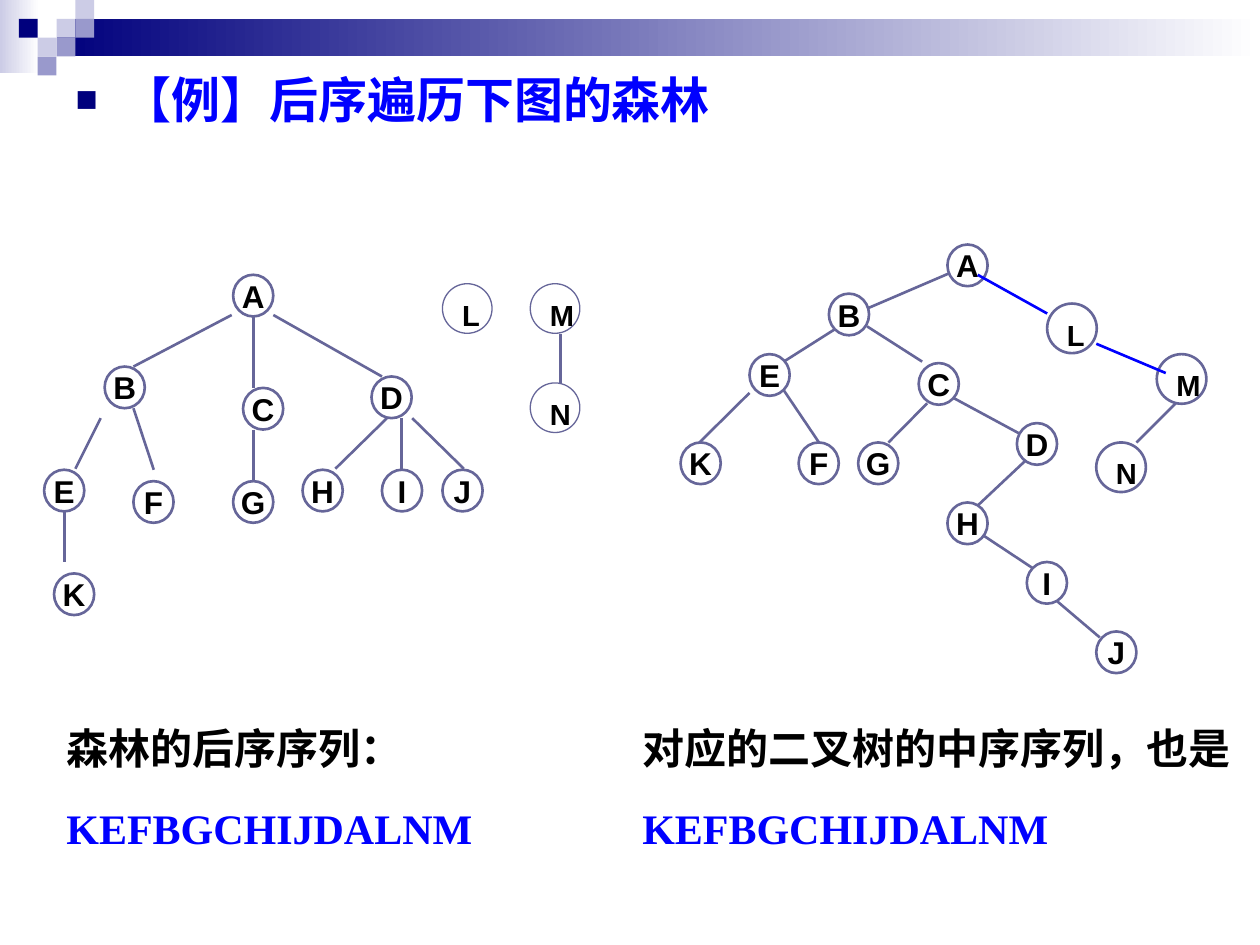
from lxml import etree
from pptx import Presentation
from pptx.dml.color import RGBColor
from pptx.enum.shapes import MSO_CONNECTOR, MSO_SHAPE
from pptx.enum.text import MSO_ANCHOR, MSO_AUTO_SIZE, PP_ALIGN
from pptx.oxml.ns import qn
from pptx.util import Cm, Pt

STRAIGHT = MSO_CONNECTOR.STRAIGHT
OVAL, RECTANGLE = MSO_SHAPE.OVAL, MSO_SHAPE.RECTANGLE
TOP, MIDDLE = MSO_ANCHOR.TOP, MSO_ANCHOR.MIDDLE
LEFT, CENTER, JUSTIFY = PP_ALIGN.LEFT, PP_ALIGN.CENTER, PP_ALIGN.JUSTIFY

COLORS = {"navy": "00007D", "pale": "CCCCE6", "lilac": "9999CC", "white": "FFFFFF",
          "edge": "666699", "blue": "0000FF", "black": "000000"}

# Content: lengths in cm
TITLE = "【例】后序遍历下图的森林"
CAPTIONS = [  # text, left, top, width, font, colour
    ("森林的后序序列：", 1.09, 14.45, 7.8, "Arial", "black"),
    ("对应的二叉树的中序序列，也是", 12.7, 14.45, 12.6, "Arial", "black"),
    ("KEFBGCHIJDALNM", 1.09, 16.05, 8.81, "Times New Roman", "blue"),
    ("KEFBGCHIJDALNM", 12.7, 16.05, 9.19, "Times New Roman", "blue"),
]
BANDS = [  # left, top, width, height, first colour
    (0, 0, 0.79, 1.47, "pale"),
    (1.14, 0.38, 24.26, 0.76, "navy"),
]
SQUARE = 0.38
SQUARES = [  # column, row, colour
    (3, 1, "pale"), (4, 0, "pale"), (4, 1, "lilac"), (2, 2, "pale"),
    (1, 1, "navy"), (3, 2, "lilac"), (2, 3, "lilac"),
]
FOREST = {
    "nodes": {"A": (4.7, 5.54), "B": (2.11, 7.39), "C": (4.9, 7.82), "G": (4.7, 9.7),
              "F": (2.69, 9.7), "E": (0.89, 9.47), "H": (6.1, 9.47), "I": (7.7, 9.47),
              "J": (8.92, 9.47), "K": (1.09, 11.56), "D": (7.49, 7.59),
              "L": (8.92, 5.72), "M": (10.69, 5.72), "N": (10.69, 7.72)},
    "edges": [(4.67, 6.35, 2.69, 7.39), (5.51, 6.35, 7.7, 7.59),
              (5.11, 6.35, 5.11, 7.82), (5.11, 8.66, 5.11, 9.68),
              (1.3, 10.31, 1.3, 11.33), (8.1, 8.43, 8.1, 9.45),
              (2.69, 8.23, 3.1, 9.47), (2.03, 8.43, 1.52, 9.45),
              (8.31, 8.43, 9.35, 9.45), (7.8, 8.43, 6.76, 9.45),
              (11.3, 6.73, 11.3, 7.72)],
    "root_links": [],
    "large_line": 0.75,
}
BINARY_TREE = {
    "nodes": {"A": (19.1, 4.93), "B": (16.71, 5.92), "C": (18.52, 7.32), "G": (17.3, 8.92),
              "F": (16.1, 8.92), "E": (15.11, 7.14), "H": (19.1, 10.13), "I": (20.7, 11.33),
              "J": (22.1, 12.73), "K": (13.72, 8.92), "D": (20.5, 8.53),
              "M": (23.32, 7.14), "N": (22.1, 8.92), "L": (21.11, 6.12)},
    "edges": [(19.18, 5.49, 17.48, 6.22), (16.92, 6.58, 15.8, 7.29),
              (18.69, 8.13, 17.91, 8.92), (19.18, 8, 20.55, 8.74),
              (15.11, 7.92, 14.1, 8.92), (15.7, 7.72, 16.51, 8.92),
              (21.31, 12.12, 22.17, 12.85), (19.71, 10.72, 20.83, 11.46),
              (17.48, 6.58, 18.59, 7.29), (20.85, 9.12, 19.71, 10.19),
              (23.7, 8.13, 22.91, 8.92)],
    "root_links": [(19.71, 5.54, 21.11, 6.32), (22.1, 6.93, 23.5, 7.52)],
    "large_line": 1.5,
}
LARGE_NODES = "LMN"


def rgb(name):
    return RGBColor.from_string(COLORS[name])


def write(shape, text, size, color, font="Arial", align=LEFT, **frame_format):
    frame = shape.text_frame
    for name, value in frame_format.items():
        setattr(frame, name, value)
    para = frame.paragraphs[0]
    para.alignment = align
    span = para.add_run()
    span.text = text
    for name, value in {"name": font, "size": Pt(size), "bold": True}.items():
        setattr(span.font, name, value)
    span.font.color.rgb = rgb(color)
    return para


def add_block(shapes, kind, left, top, width, height, color):
    block = shapes.add_shape(kind, Cm(left), Cm(top), Cm(width), Cm(height))
    block.shadow.inherit = False
    block.fill.solid()
    block.fill.fore_color.rgb = rgb(color)
    block.line.fill.background()
    return block


def add_edge(shapes, ends, color):
    edge = shapes.add_connector(STRAIGHT, *map(Cm, ends))
    edge.line.color.rgb = rgb(color)
    edge.line.width = Pt(1.5)
    etree.SubElement(edge._element.spPr, qn("a:effectLst"))


def add_node(shapes, label, left, top, large_line):
    large = label in LARGE_NODES
    width, height = (1, 1) if large else (0.81, 0.84)
    node = add_block(shapes, OVAL, left, top, width, height, "white")
    node.line.color.rgb = rgb("edge")
    node.line.width = Pt(large_line if large else 1.5)
    write(node, label, 16.6 if large else 18, "black",
          align=JUSTIFY if large else CENTER,
          vertical_anchor=TOP if large else MIDDLE, word_wrap=large)


def add_tree(page, tree):
    shapes = page.shapes.add_group_shape().shapes
    for ends in tree["edges"]:
        add_edge(shapes, ends, "edge")
    for label, (left, top) in tree["nodes"].items():
        add_node(shapes, label, left, top, tree["large_line"])
    for ends in tree["root_links"]:
        add_edge(shapes, ends, "blue")


def add_bullet(para):
    properties = para._p.get_or_add_pPr()
    properties.set("marL", str(Cm(0.95)))
    properties.set("indent", str(-Cm(0.95)))
    color = etree.SubElement(properties, qn("a:buClr"))
    etree.SubElement(color, qn("a:srgbClr"), val=COLORS["navy"])
    etree.SubElement(properties, qn("a:buSzPct"), val="75000")
    etree.SubElement(properties, qn("a:buFont"), typeface="Arial")
    etree.SubElement(properties, qn("a:buChar"), char="■")


def main():
    deck = Presentation()
    deck.slide_width, deck.slide_height = Cm(25.4), Cm(19.05)
    page = deck.slides.add_slide(deck.slide_layouts[5])

    # Header decoration
    for left, top, width, height, color in BANDS:
        band = add_block(page.shapes, RECTANGLE, left, top, width, height, color)
        band.fill.gradient()
        band.fill.gradient_angle = 0
        for stop, name in zip(band.fill.gradient_stops, (color, "white")):
            stop.color.rgb = rgb(name)
    for column, row, color in SQUARES:
        add_block(page.shapes, RECTANGLE, column * SQUARE, row * SQUARE,
                  SQUARE, SQUARE, color)

    # Title
    title = page.shapes.title
    title.left, title.top, title.width, title.height = map(Cm, (1.27, 1.27, 22.86, 4.14))
    para = write(title, TITLE, 28, "blue", vertical_anchor=TOP, word_wrap=True,
                 auto_size=MSO_AUTO_SIZE.NONE)
    add_bullet(para)

    # Forest and its binary tree
    for tree in (FOREST, BINARY_TREE):
        add_tree(page, tree)

    # Captions and sequences
    for text, left, top, width, font, color in CAPTIONS:
        box = page.shapes.add_textbox(Cm(left), Cm(top), Cm(width), Cm(1.27))
        write(box, text, 24, color, font, word_wrap=True,
              auto_size=MSO_AUTO_SIZE.SHAPE_TO_FIT_TEXT)

    deck.save("out.pptx")


if __name__ == "__main__":
    main()
